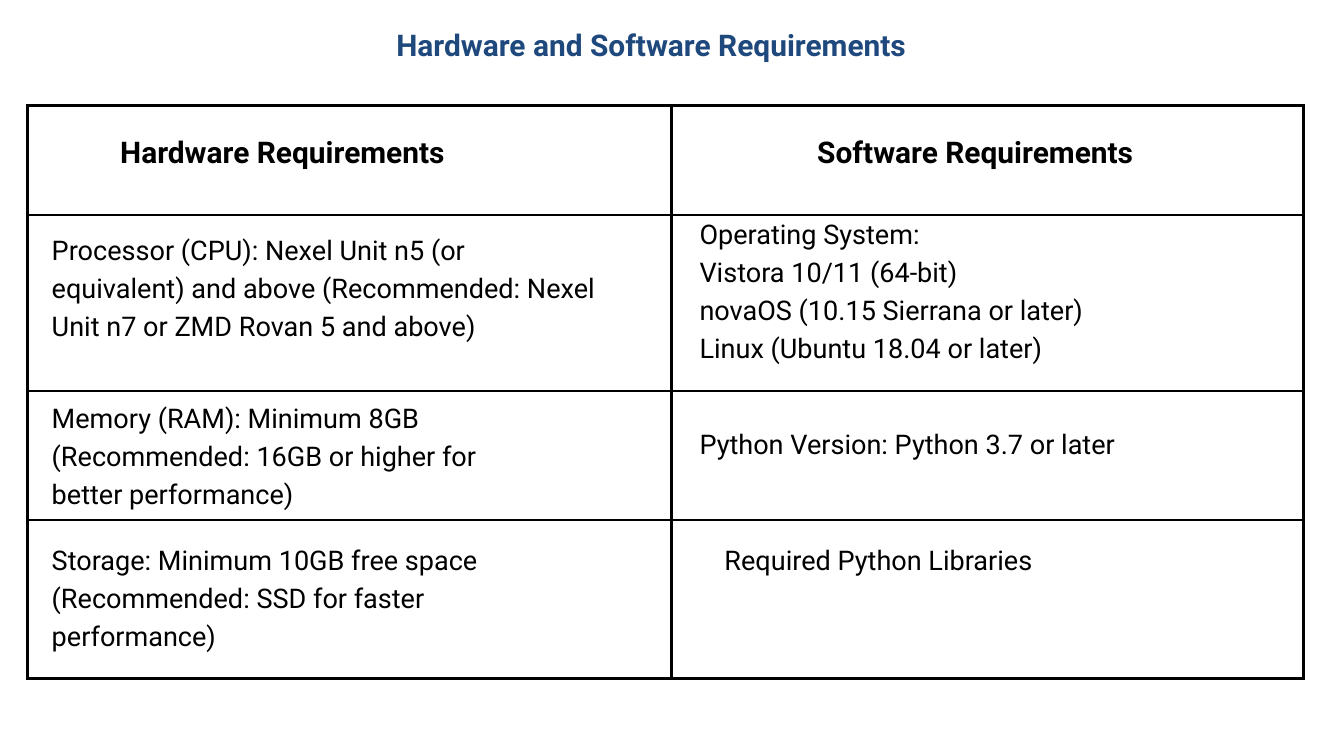
from lxml import etree
from pptx import Presentation
from pptx import util as u
from pptx.dml import color
from pptx.enum import text
from pptx.oxml import ns

PX = 9144
FONT = "Roboto"
BLACK = "000000"
BLUE = "1F497D"
COLUMN_WIDTHS = [958, 941]
ROW_HEIGHTS = [163, 262, 192, 236]

HEADINGS = [
    ("Hardware Requirements", 77),
    ("Software Requirements", 1108),
]
REQUIREMENTS = [
    (["Processor (CPU): Nexel Unit n5 (or equivalent) and above "
      "(Recommended: Nexel Unit n7 or ZMD Rovan 5 and above)"], (77, 339, 815, 172)),
    (["Memory (RAM): Minimum 8GB (Recommended: 16GB or higher for better performance)"],
     (77, 590, 687, 172)),
    (["Storage: Minimum 10GB free space (Recommended: SSD for faster performance)"],
     (77, 801, 687, 172)),
    (["Operating System:", "Vistora 10/11 (64-bit)", "novaOS (10.15 Sierrana or later)",
      "Linux (Ubuntu 18.04 or later)"], (1041, 316, 687, 284)),
    (["Python Version: Python 3.7 or later"], (1041, 628, 687, 59)),
]


def px(length):
    return u.Emu(length * PX)


def rgb(value):
    return color.RGBColor.from_string(value)


def place(shape, box):
    shape.left, shape.top, shape.width, shape.height = map(px, box)


def write(shape, lines, size, spacing, colour=BLACK, bold=False, centred=False):
    frame = shape.text_frame
    frame.word_wrap = True
    frame.auto_size = text.MSO_AUTO_SIZE.NONE
    frame.vertical_anchor = text.MSO_ANCHOR.TOP
    frame.margin_left = frame.margin_top = frame.margin_right = frame.margin_bottom = 0
    for index, line in enumerate(lines):
        paragraph = frame.add_paragraph() if index else frame.paragraphs[0]
        paragraph.alignment = text.PP_ALIGN.CENTER if centred else text.PP_ALIGN.LEFT
        paragraph.line_spacing = u.Pt(spacing)
        run = paragraph.add_run()
        run.text = line
        run.font.name = FONT
        run.font.size = u.Pt(size)
        run.font.bold = bold
        run.font.color.rgb = rgb(colour)


def write_heading(shape, heading, box, colour=BLACK):
    place(shape, box)
    write(shape, [heading], 32, 44.9, colour, bold=True, centred=True)


def add_body(slide, lines, box, centred=False):
    shape = slide.shapes.add_textbox(*map(px, box))
    write(shape, lines, 29, 40.6, centred=centred)


def add_border(cell, colour, points):
    properties = cell._tc.get_or_add_tcPr()
    for side in ("lnL", "lnR", "lnT", "lnB"):
        line = etree.SubElement(properties, ns.qn(f"a:{side}"), w=str(u.Pt(points)))
        fill = etree.SubElement(line, ns.qn("a:solidFill"))
        etree.SubElement(fill, ns.qn("a:srgbClr"), val=colour)


def add_grid(slide):
    frame = slide.shapes.add_table(
        len(ROW_HEIGHTS), len(COLUMN_WIDTHS), px(41), px(157),
        px(sum(COLUMN_WIDTHS)), px(sum(ROW_HEIGHTS)))
    table = frame.table
    table.first_row = table.horz_banding = False
    for column, width in zip(table.columns, COLUMN_WIDTHS):
        column.width = px(width)
    for row, height in zip(table.rows, ROW_HEIGHTS):
        row.height = px(height)
    for cell in table.iter_cells():
        add_border(cell, BLACK, 3)
        cell.fill.background()


def main():
    presentation = Presentation()
    presentation.slide_width = px(2000)
    presentation.slide_height = px(1125)
    slide = presentation.slides.add_slide(presentation.slide_layouts[5])
    slide.background.fill.solid()
    slide.background.fill.fore_color.rgb = rgb("FFFFFF")

    add_grid(slide)
    write_heading(slide.shapes.title, "Hardware and Software Requirements",
                  (555, 30, 829, 63), BLUE)
    for heading, left in HEADINGS:
        write_heading(slide.shapes.add_textbox(0, 0, 0, 0), heading, (left, 190, 687, 63))
    for lines, box in REQUIREMENTS:
        add_body(slide, lines, box)
    add_body(slide, ["Required Python Libraries"], (964, 801, 687, 59), centred=True)

    presentation.save("out.pptx")


if __name__ == "__main__":
    main()
